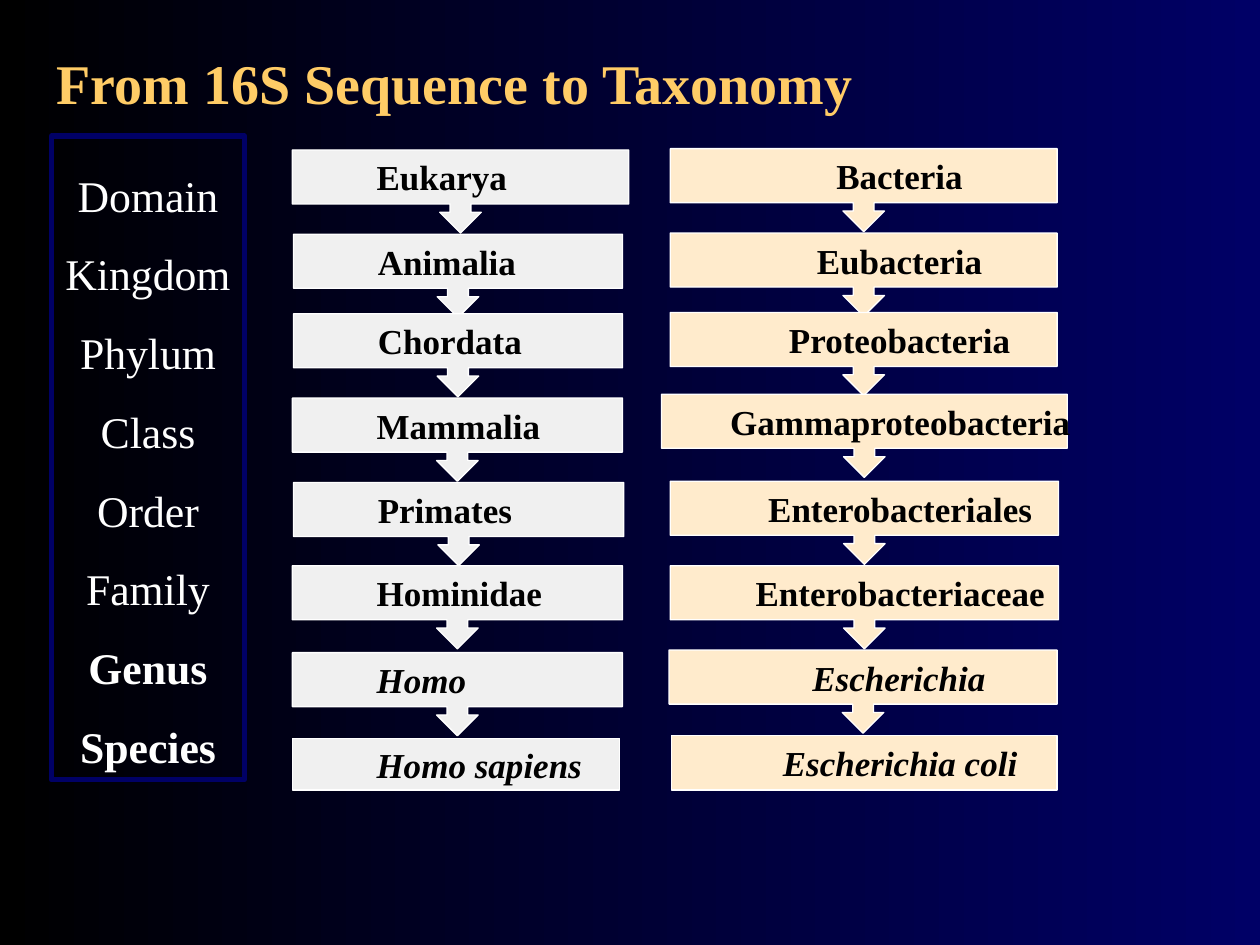
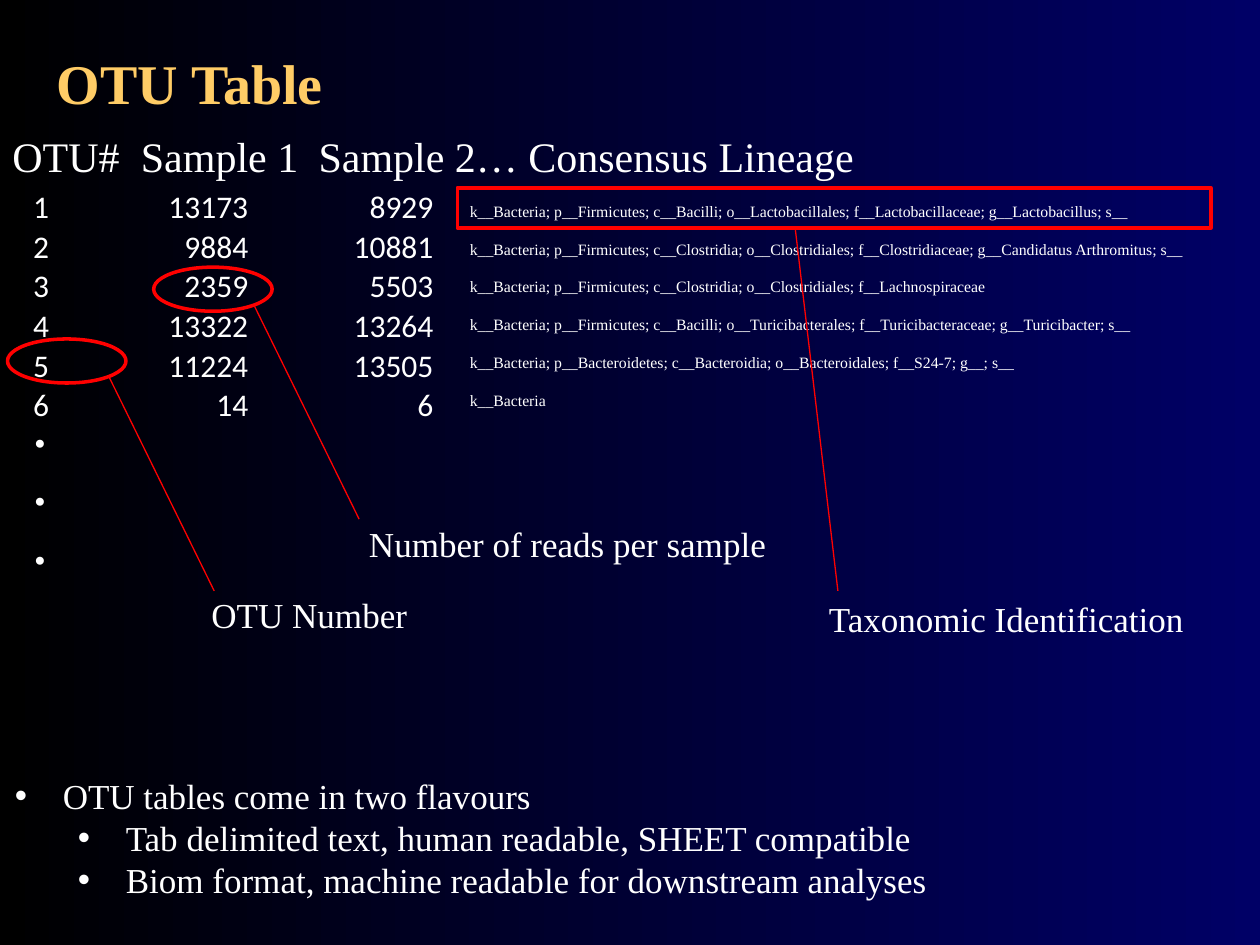
from lxml import etree
from pptx import Presentation
from pptx.dml.color import RGBColor
from pptx.enum.shapes import MSO_CONNECTOR, MSO_SHAPE
from pptx.enum.text import MSO_ANCHOR, MSO_AUTO_SIZE, PP_ALIGN
from pptx.oxml.ns import qn
from pptx.util import Inches, Pt

RECT, OVAL = MSO_SHAPE.RECTANGLE, MSO_SHAPE.OVAL
CALLOUT = MSO_SHAPE.DOWN_ARROW_CALLOUT
LINE = MSO_CONNECTOR.STRAIGHT
TOP, MID, BASE = MSO_ANCHOR.TOP, MSO_ANCHOR.MIDDLE, MSO_ANCHOR.BOTTOM
LEFT, CENTER, RIGHT = PP_ALIGN.LEFT, PP_ALIGN.CENTER, PP_ALIGN.RIGHT
GROW, FIXED = MSO_AUTO_SIZE.SHAPE_TO_FIT_TEXT, MSO_AUTO_SIZE.NONE

SERIF, SANS = "Times New Roman", "Calibri"
BLACK, NAVY, WHITE = "000000", "000066", "FFFFFF"
GOLD, RED, GREY, CREAM = "FFCC66", "FF0000", "F0F0F0", "FFEBCC"
NO_GRID = "{2D5ABB26-0587-4C30-8999-92F81FD0307C}"


def write(frame, lines, size, color=WHITE, bold=False, align=LEFT, face=SERIF):
    """Fill a text frame, one paragraph a line, and return the paragraphs."""
    frame.text = "\n".join(lines)
    for par in frame.paragraphs:
        par.alignment = align
        font = par.font
        font.name, font.size, font.bold = face, Pt(size), bold
        font.color.rgb = RGBColor.from_string(color)
    return frame.paragraphs


def draw(slide, kind, box, line, width, fill=None):
    """Add a flat preset shape; without a fill it is see-through."""
    shape = slide.shapes.add_shape(kind, *map(Inches, box))
    shape.shadow.inherit = False
    shape.line.color.rgb = RGBColor.from_string(line)
    shape.line.width = Pt(width)
    if fill:
        shape.fill.solid()
        shape.fill.fore_color.rgb = RGBColor.from_string(fill)
    else:
        shape.fill.background()
    return shape


prs = Presentation()
prs.slide_width, prs.slide_height = Inches(10), Inches(7.5)

# Shared background and titles
back = prs.slide_master.background.fill
back.gradient()
back.gradient_angle = 0
for stop, color in zip(back.gradient_stops, (BLACK, NAVY)):
    stop.color.rgb = RGBColor.from_string(color)

slides = []
for name in ("From 16S Sequence to Taxonomy", "OTU Table"):
    slide = prs.slides.add_slide(prs.slide_layouts[5])
    title = slide.shapes.title
    title.left, title.top = Inches(0.35), Inches(-0.19)
    title.width, title.height = Inches(9.37), Inches(1.68)
    title.text_frame.vertical_anchor = MID
    title.text_frame.auto_size = FIXED
    write(title.text_frame, [name], 32, GOLD, True)
    slides.append(slide)
taxa, otus = slides

# Taxonomy: two lineages, each row as name, left, top, width
bugs = [
    ("Bacteria", 5.32, 1.18, 3.07),
    ("Eubacteria", 5.32, 1.85, 3.07),
    ("Proteobacteria", 5.32, 2.48, 3.07),
    ("Gammaproteobacteria", 5.25, 3.13, 3.22),
    ("Enterobacteriales", 5.32, 3.82, 3.08),
    ("Enterobacteriaceae", 5.32, 4.49, 3.08),
    ("Escherichia", 5.31, 5.16, 3.08),
    ("Escherichia coli", 5.33, 5.84, 3.06),
]
humans = [
    ("Eukarya", 2.32, 1.19, 2.67),
    ("Animalia", 2.33, 1.86, 2.61),
    ("Chordata", 2.33, 2.49, 2.61),
    ("Mammalia", 2.32, 3.16, 2.62),
    ("Primates", 2.33, 3.83, 2.62),
    ("Hominidae", 2.32, 4.49, 2.62),
    ("Homo", 2.32, 5.18, 2.62),
    ("Homo sapiens", 2.32, 5.86, 2.6),
]
for rows, fill, align, pad, margin, indent, foot in (
    (bugs, CREAM, CENTER, 0, 0.57, 0, 0.43),
    (humans, GREY, LEFT, 0.1, 1.07, -0.5, 0.41),
):
    for i, (name, left, top, width) in enumerate(rows):
        last = i == len(rows) - 1
        kind, height = (RECT, foot) if last else (CALLOUT, 0.66)
        step = draw(taxa, kind, (left, top, width, height), WHITE, 0.75, fill)
        if not last:
            for n, value in enumerate((0.25, 0.25, 0.25, 0.65)):
                step.adjustments[n] = value
        frame = step.text_frame
        frame.word_wrap, frame.vertical_anchor = False, MID
        frame.margin_left = frame.margin_right = Inches(pad)
        par = write(frame, [name], 20, BLACK, True, align)[0]
        par.font.italic = i >= 6
        props = par._p.get_or_add_pPr()
        props.set("marL", str(Inches(margin)))
        props.set("indent", str(Inches(indent)))

ranks = ["Domain", "Kingdom", "Phylum", "Class", "Order", "Family",
         "Genus", "Species"]
frame = draw(taxa, RECT, (0.41, 1.08, 1.53, 5.11), NAVY, 3).text_frame
frame.word_wrap, frame.vertical_anchor, frame.auto_size = False, TOP, GROW
for par in write(frame, ranks, 25, align=CENTER):
    par.line_spacing = 1.5
    par.font.bold = par.text in ("Genus", "Species")

# OTU table: counts
counts = [(1, 13173, 8929), (2, 9884, 10881), (3, 2359, 5503),
          (4, 13322, 13264), (5, 11224, 13505), (6, 14, 6),
          ("", "", ""), ("", "", "")]
grid = otus.shapes.add_table(len(counts), 3, Inches(0.12), Inches(1.46),
                             Inches(3.33), Inches(2.51)).table
grid.first_row = grid.horz_banding = False
grid._tbl.tblPr.find(qn("a:tableStyleId")).text = NO_GRID
for col, width in zip(grid.columns, (0.28, 1.58, 1.47)):
    col.width = Inches(width)
for i, (row, values) in enumerate(zip(grid.rows, counts)):
    row.height = Inches(0.21 if i else 0.34)
    for cell, value in zip(row.cells, values):
        cell.fill.background()
        cell.vertical_anchor = BASE
        cell.margin_left = cell.margin_right = cell.margin_top = Inches(0.01)
        cell.margin_bottom = 0
        write(cell.text_frame, [str(value)], 18, align=RIGHT, face=SANS)

# OTU table: text blocks as box, size, wrap, lines
head = "OTU#\tSample 1\tSample 2… Consensus Lineage"
lineages = [
    "k__Bacteria; p__Firmicutes; c__Bacilli; o__Lactobacillales; "
    "f__Lactobacillaceae; g__Lactobacillus; s__",
    "k__Bacteria; p__Firmicutes; c__Clostridia; o__Clostridiales; "
    "f__Clostridiaceae; g__Candidatus Arthromitus; s__",
    "k__Bacteria; p__Firmicutes; c__Clostridia; o__Clostridiales; "
    "f__Lachnospiraceae",
    "k__Bacteria; p__Firmicutes; c__Bacilli; o__Turicibacterales; "
    "f__Turicibacteraceae; g__Turicibacter; s__",
    "k__Bacteria; p__Bacteroidetes; c__Bacteroidia; o__Bacteroidales; "
    "f__S24-7; g__; s__",
    "k__Bacteria",
]
notes = ["OTU tables come in two flavours",
         "Tab delimited text, human readable, SHEET compatible",
         "Biom format, machine readable for downstream analyses"]
blocks = []
for box, size, wrap, lines in (
    ((0, 0.99, 6.95, 0.5), 24, False, [head]),
    ((3.63, 1.55, 6.49, 1.77), 9, True, lineages),
    ((0.17, 3.11, 0.31, 1.51), 28, False, [".", ".", "."]),
    ((2.83, 4.1, 3.38, 0.44), 20, False, ["Number of reads per sample"]),
    ((1.58, 4.66, 1.77, 0.44), 20, False, ["OTU Number"]),
    ((6.48, 4.69, 3.03, 0.44), 20, False, ["Taxonomic Identification"]),
    ((0.02, 6.1, 9.13, 1.11), 20, True, notes),
):
    frame = otus.shapes.add_textbox(*map(Inches, box)).text_frame
    frame.word_wrap, frame.auto_size = wrap, GROW
    blocks.append(write(frame, lines, size, bold=lines[0] == "."))

props = blocks[0][0]._p.get_or_add_pPr()
tabs = etree.Element(qn("a:tabLst"))
for place in (1.02, 2.43):
    etree.SubElement(tabs, qn("a:tab"), pos=str(Inches(place)), algn="l")
props.insert(0, tabs)

for par in blocks[1][:-1]:
    par.space_after = Pt(10.8)

for i, par in enumerate(blocks[-1]):
    par.level = min(i, 1)
    props = par._p.get_or_add_pPr()
    props.set("marL", str(Inches(0.88 if i else 0.38)))
    props.set("indent", str(Inches(-0.38)))
    face = etree.Element(qn("a:buFont"), typeface="Arial")
    mark = etree.Element(qn("a:buChar"), char="•")
    props.insert(0, face)
    props.insert(1, mark)

# Red marks with their leader lines
for kind, box, start, end in (
    (OVAL, (1.22, 2.12, 0.94, 0.35), (2.02, 2.43), (2.85, 4.12)),
    (OVAL, (0.06, 2.69, 0.94, 0.35), (0.87, 3), (1.7, 4.69)),
    (RECT, (3.63, 1.49, 5.98, 0.32), (6.31, 1.8), (6.65, 4.69)),
):
    draw(otus, kind, box, RED, 2)
    lead = otus.shapes.add_connector(LINE, *map(Inches, start + end))
    lead.line.color.rgb = RGBColor.from_string(RED)
    lead.line.width = Pt(0.75)
    etree.SubElement(lead._element.spPr, qn("a:effectLst"))

prs.save("out.pptx")
